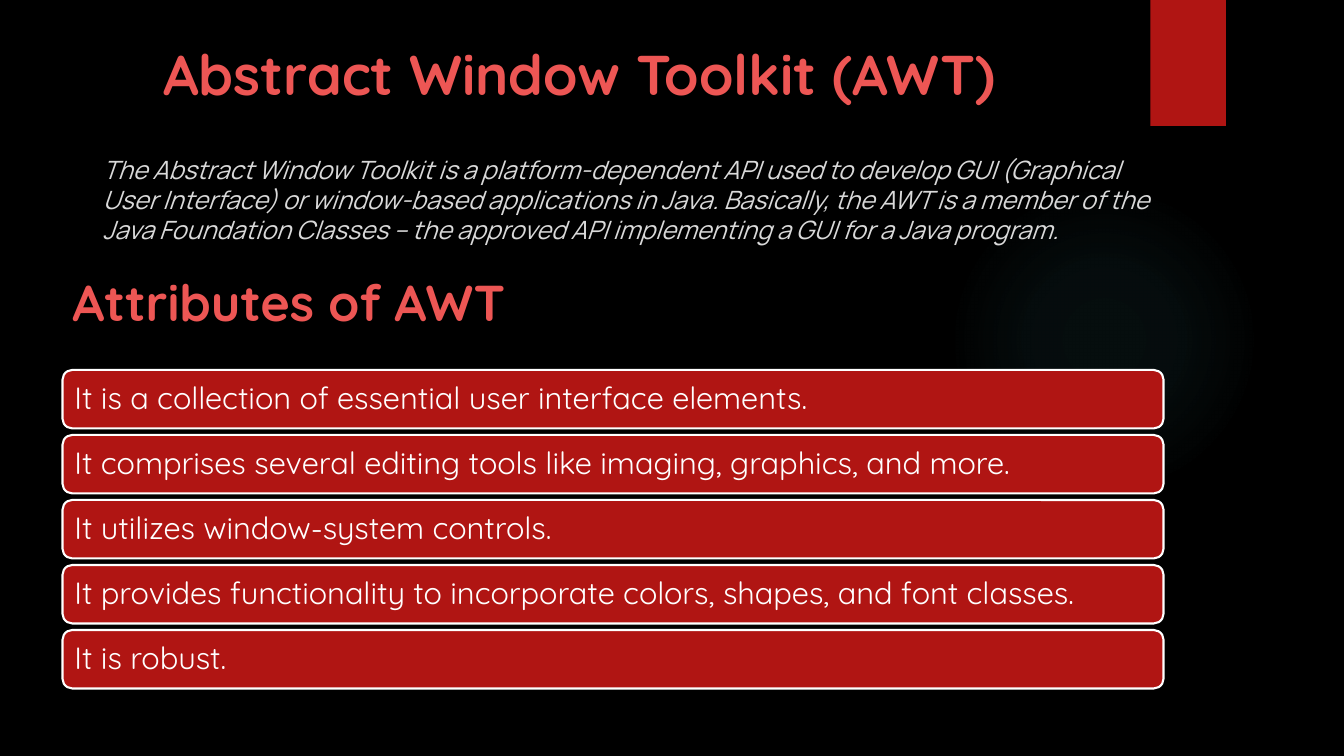
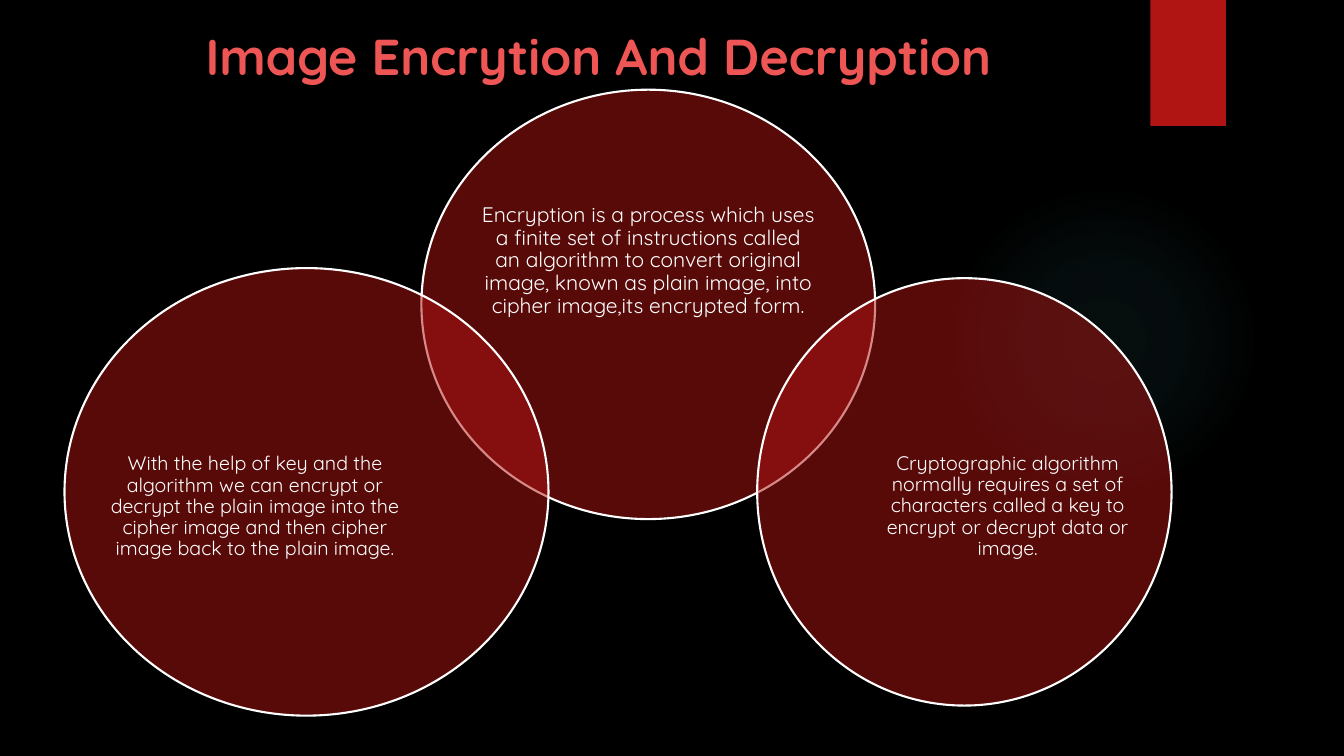
"""Build two dark slides on the window toolkit and image encryption."""
from dataclasses import dataclass
from typing import NamedTuple

from lxml.etree import SubElement
from pptx import Presentation
from pptx.dml.color import RGBColor
from pptx.enum.shapes import MSO_SHAPE
from pptx.enum.text import MSO_ANCHOR, PP_ALIGN
from pptx.oxml import parse_xml
from pptx.oxml.ns import nsdecls, qn
from pptx.shapes.autoshape import Shape
from pptx.slide import Slide
from pptx.util import Inches, Pt


@dataclass(frozen=True)
class Theme:
    """Colours, fonts and type sizes of the deck."""
    back: str = "000000"
    red: str = "B01513"
    title: str = "ED5654"
    pale: str = "D9D9D9"
    white: str = "FFFFFF"
    glow: str = "50B9C1"
    face: str = "Quicksand"
    prose: str = "Manrope"
    large: int = 40
    head: int = 36
    item: int = 22
    body: int = 18
    note: int = 15
    small: int = 14
    rim: float = 1.5


class Box(NamedTuple):
    """Left, top, width and height in inches."""
    left: float
    top: float
    width: float
    height: float

    def place(self) -> list[int]:
        """Give the four lengths."""
        return [Inches(side) for side in self]


@dataclass(frozen=True)
class Style:
    """Look of one text."""
    size: int
    color: str
    face: str = Theme.face
    bold: bool = False
    slant: bool = False
    align: PP_ALIGN = PP_ALIGN.LEFT
    anchor: MSO_ANCHOR = MSO_ANCHOR.TOP
    pad: tuple[float, float] = (0.1, 0.05)
    lead: float = 1.0


@dataclass(frozen=True)
class Circle:
    """A see-through circle with its text area."""
    ring: Box
    area: Box
    text: str
    size: int = Theme.small


THEME = Theme()
HEAD = Style(THEME.head, THEME.title, bold=True)
LARGE = Style(THEME.large, THEME.title, bold=True)
PROSE = Style(THEME.body, THEME.pale, THEME.prose, slant=True)
ITEM = Style(THEME.item, THEME.white, anchor=MSO_ANCHOR.MIDDLE,
             pad=(0.09, 0.09), lead=0.9)

FIRST = Box(0.62, 3.67, 10.92, 0.58)
LAST = 6.25
ITEMS = [
    "It is a collection of essential user interface elements.",
    "It comprises several editing tools like imaging, graphics, and more.",
    "It utilizes window-system controls.",
    "It provides functionality to incorporate colors, shapes, and font classes.",
    "It is robust.",
]
INTRO = (
    "The Abstract Window Toolkit is a platform-dependent API used to develop "
    "GUI (Graphical User Interface) or window-based applications in Java. "
    "Basically, the AWT is a member of the Java Foundation Classes – the "
    "approved API implementing a GUI for a Java program."
)
CIRCLES = [
    Circle(Box(4.18, 0.89, 4.5, 4.26), Box(4.78, 1.63, 3.3, 1.92),
           "Encryption is a process which uses a finite set of instructions "
           "called an algorithm to convert original image, known as plain "
           "image, into cipher image,its encrypted form.", THEME.note),
    Circle(Box(7.51, 2.76, 4.11, 4.24), Box(8.76, 3.86, 2.47, 2.33),
           "Cryptographic algorithm normally requires a set of characters "
           "called a key to encrypt or decrypt data or image."),
    Circle(Box(0.64, 2.66, 4.8, 4.44), Box(1.09, 3.81, 2.88, 2.44),
           "With the help of key and the algorithm we can encrypt or decrypt "
           "the plain image into the cipher image and then cipher image back "
           "to the plain image."),
]


def write(shape: Shape, text: str, style: Style) -> None:
    """Fill a shape with one styled paragraph."""
    frame = shape.text_frame
    frame.word_wrap = True
    frame.vertical_anchor = style.anchor
    frame.margin_left = frame.margin_right = Inches(style.pad[0])
    frame.margin_top = frame.margin_bottom = Inches(style.pad[1])
    para = frame.paragraphs[0]
    para.alignment = style.align
    para.line_spacing = style.lead
    run = para.add_run()
    run.text = text
    font = run.font
    font.name, font.size = style.face, Pt(style.size)
    font.bold, font.italic = style.bold, style.slant
    font.color.rgb = RGBColor.from_string(style.color)


def label(slide: Slide, box: Box, text: str, style: Style) -> None:
    """Add a text box."""
    write(slide.shapes.add_textbox(*box.place()), text, style)


def form(slide: Slide, kind: MSO_SHAPE, box: Box, rim: bool = False,
         alpha: int = 100) -> Shape:
    """Add a red shape, with a white rim if asked."""
    shape = slide.shapes.add_shape(kind, *box.place())
    shape.shadow.inherit = False
    shape.fill.solid()
    shape.fill.fore_color.rgb = RGBColor.from_string(THEME.red)
    if alpha < 100:
        color = shape.element.spPr.find(".//" + qn("a:srgbClr"))
        SubElement(color, qn("a:alpha"), val=str(alpha * 1000))
    if rim:
        shape.line.color.rgb = RGBColor.from_string(THEME.white)
        shape.line.width = Pt(THEME.rim)
    else:
        shape.line.fill.background()
    return shape


def glow(slide: Slide) -> None:
    """Add the faint round light."""
    shape = form(slide, MSO_SHAPE.OVAL, Box(9.41, 1.83, 3.08, 3.08))
    stops = "".join(
        f'<a:gs pos="{pos * 1000}"><a:srgbClr val="{THEME.glow}">'
        f'<a:alpha val="{alpha * 1000}"/></a:srgbClr></a:gs>'
        for pos, alpha in ((0, 7), (36, 6), (69, 0))
    )
    grad = parse_xml(
        f'<a:gradFill {nsdecls("a")}><a:gsLst>{stops}</a:gsLst>'
        '<a:path path="circle"><a:fillToRect l="50000" t="50000" '
        'r="50000" b="50000"/></a:path></a:gradFill>'
    )
    props = shape.element.spPr
    props.replace(props.find(qn("a:solidFill")), grad)


def start(deck: Presentation, box: Box, title: str, style: Style) -> Slide:
    """Add a slide with the shared light, ribbon and title."""
    slide = deck.slides.add_slide(deck.slide_layouts[6])
    glow(slide)
    form(slide, MSO_SHAPE.RECTANGLE, Box(11.41, 0, 0.75, 1.25))
    label(slide, box, title, style)
    return slide


def toolkit(deck: Presentation) -> None:
    """Build the toolkit slide."""
    slide = start(deck, Box(1.52, 0.34, 8.77, 0.77),
                  "Abstract Window Toolkit (AWT)", LARGE)
    label(slide, Box(0.92, 1.48, 10.62, 1.31), INTRO, PROSE)
    label(slide, Box(0.62, 2.64, 7.99, 0.71), "Attributes of AWT", HEAD)
    pitch = (LAST - FIRST.top) / (len(ITEMS) - 1)
    for row, text in enumerate(ITEMS):
        box = FIRST._replace(top=FIRST.top + row * pitch)
        bar = form(slide, MSO_SHAPE.ROUNDED_RECTANGLE, box, rim=True)
        write(bar, text, ITEM)


def cipher(deck: Presentation) -> None:
    """Build the encryption slide."""
    slide = start(deck, Box(1.94, 0.2, 8.44, 0.71),
                  "Image Encrytion And Decryption", HEAD)
    for part in CIRCLES:
        form(slide, MSO_SHAPE.OVAL, part.ring, rim=True, alpha=50)
        style = Style(part.size, THEME.white, align=PP_ALIGN.CENTER,
                      anchor=MSO_ANCHOR.MIDDLE, pad=(0, 0), lead=0.9)
        label(slide, part.area, part.text, style)


def main() -> None:
    """Build and save the deck."""
    deck = Presentation()
    deck.slide_width, deck.slide_height = Inches(13.33), Inches(7.5)
    fill = deck.slide_master.background.fill
    fill.solid()
    fill.fore_color.rgb = RGBColor.from_string(THEME.back)
    toolkit(deck)
    cipher(deck)
    deck.save("out.pptx")


if __name__ == "__main__":
    main()
